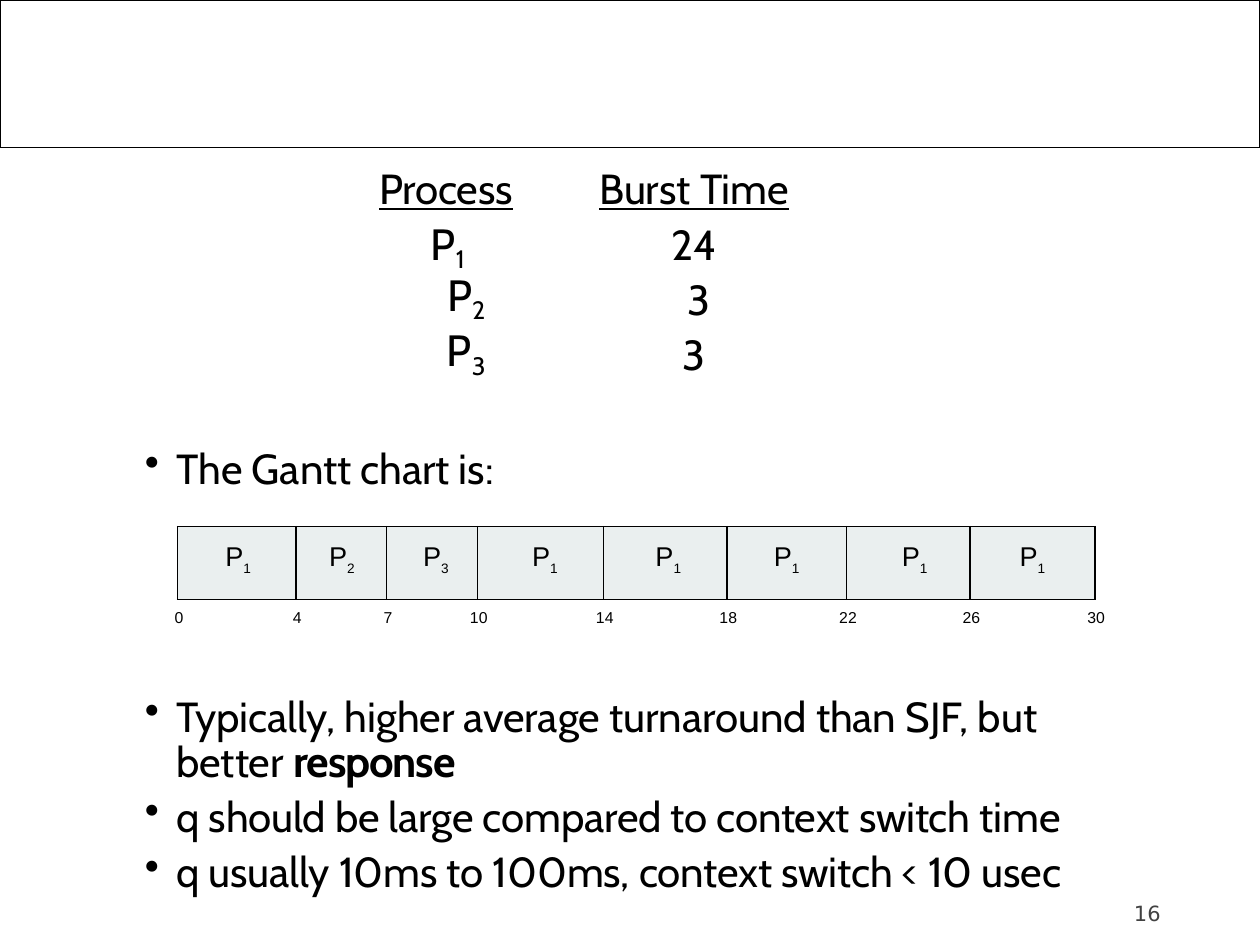
from dataclasses import dataclass
from itertools import accumulate
from typing import Optional

from lxml.etree import SubElement
from pptx import Presentation
from pptx.dml.color import RGBColor as RGB
from pptx.enum.shapes import MSO_SHAPE as Shape
from pptx.enum.text import PP_ALIGN as Align
from pptx.oxml.ns import qn
from pptx.util import Inches, Pt


@dataclass(frozen=True)
class Theme:
    ink: RGB = RGB(0, 0, 0)
    muted: RGB = RGB(0x42, 0x42, 0x42)
    slice_fill: RGB = RGB(0xEA, 0xEF, 0xEF)
    body_font: str = "Cabin"
    chart_font: str = "Arial"
    number_font: str = "DejaVu Sans"
    body: float = 24
    process: float = 25
    slice: float = 15.5
    slice_sub: float = 13.5
    tick: float = 9
    number: float = 12
    plain_table: str = "{2D5ABB26-0587-4C30-8999-92F81FD0307C}"


@dataclass(frozen=True)
class Process:
    number: str
    burst: str
    height: float
    top: float
    burst_top: float
    indent: float
    align: Align
    burst_indent: float
    spacing: Optional[float]


@dataclass(frozen=True)
class Slice:
    process: str
    end: int
    width: float
    shift: float


T = Theme()
PROCESSES = [
    Process("1", "24", 0.47, 0.01, 0.03, 0.44, Align.LEFT, 0.26, None),
    Process("2", "3", 0.44, 0, 0, 0, Align.CENTER, 0.33, 28.8),
    Process("3", "3", 0.46, 0, 0, 0, Align.CENTER, 0.26, 28.8),
]
SLICES = [
    Slice("1", 4, 0.94, 0.02), Slice("2", 7, 0.72, 0.01),
    Slice("3", 10, 0.72, 0.06), Slice("1", 14, 1, 0.07),
    Slice("1", 18, 0.98, 0.05), Slice("1", 22, 0.95, 0),
    Slice("1", 26, 0.98, 0.1), Slice("1", 30, 0.99, 0),
]
CHART_LEFT, CHART_TOP, CHART_HEIGHT = 1.41, 4.18, 0.58
HEADER_HEIGHT, HEADER_SPACING = 0.41, 28.6


def add_text(p, text: str, *, font: str = T.body_font, size: float = T.body,
             color: RGB = T.ink, bold: bool = False, underline: bool = False,
             spacing: float = 0, baseline: int = 0) -> None:
    r = p.add_run()
    r.text = text
    f = r.font
    f.name, f.size, f.bold, f.underline = font, Pt(size), bold, underline
    f.color.rgb = color
    rpr = r._r.get_or_add_rPr()
    if spacing:
        rpr.set("spc", str(round(spacing * 100)))
    if baseline:
        rpr.set("baseline", str(baseline * 1000))


def format_paragraph(p, align: Align = Align.LEFT, left: float = 0,
                     bullet: bool = False, line: Optional[float] = None,
                     before: float = 0) -> None:
    ppr = p._p.get_or_add_pPr()
    ppr.set("marL", str(Inches(left)))
    if bullet:
        ppr.set("indent", str(Inches(-0.25)))
        SubElement(ppr, qn("a:buChar")).set("char", "•")
    p.alignment = align
    if line:
        p.line_spacing = Pt(line)
    if before:
        p.space_before = Pt(before)


def add_box(s, left: float, top: float, width: float, height: float,
            inset: float = 0.01):
    tf = s.shapes.add_textbox(Inches(left), Inches(top), Inches(width),
                              Inches(height)).text_frame
    tf.word_wrap = True
    tf.margin_left = tf.margin_right = tf.margin_bottom = 0
    tf.margin_top = Inches(inset)
    return tf


def add_table(s, left: float, top: float, widths: list[float],
              heights: list[float]):
    frame = s.shapes.add_table(len(heights), len(widths), Inches(left),
                               Inches(top), Inches(sum(widths)),
                               Inches(sum(heights)))
    table = frame.table
    table.first_row = table.horz_banding = False
    table._tbl.tblPr.find(qn("a:tableStyleId")).text = T.plain_table
    for col, width in zip(table.columns, widths):
        col.width = Inches(width)
    for row, height in zip(table.rows, heights):
        row.height = Inches(height)
    return table


def open_cell(cell, top: float = 0, **layout):
    cell.margin_left = cell.margin_right = cell.margin_bottom = 0
    cell.margin_top = Inches(top)
    p = cell.text_frame.paragraphs[0]
    format_paragraph(p, **layout)
    return p


def add_borders(cell) -> None:
    tcpr = cell._tc.get_or_add_tcPr()
    for side in ("lnL", "lnR", "lnT", "lnB"):
        ln = SubElement(tcpr, qn(f"a:{side}"), w=str(Pt(1)))
        fill = SubElement(ln, qn("a:solidFill"))
        SubElement(fill, qn("a:srgbClr")).set("val", str(T.ink))


def add_header_frame(s) -> None:
    sp = s.shapes.add_shape(Shape.RECTANGLE, 0, 0, Inches(10), Inches(1.17))
    sp.shadow.inherit = False
    sp.fill.background()
    sp.line.color.rgb = T.ink
    sp.line.width = Pt(0.75)


def add_process_table(s) -> None:
    heights = [HEADER_HEIGHT] + [pr.height for pr in PROCESSES]
    table = add_table(s, 2.98, 1.31, [1.44, 1.92], heights)
    p = open_cell(table.cell(0, 0), left=0.03, line=HEADER_SPACING)
    add_text(p, "Process", underline=True, spacing=-0.1)
    p = open_cell(table.cell(0, 1), align=Align.CENTER, left=0.26,
                  line=HEADER_SPACING)
    add_text(p, "Burst Time", underline=True, spacing=-0.05)
    for row, pr in enumerate(PROCESSES, 1):
        p = open_cell(table.cell(row, 0), pr.top, align=pr.align,
                      left=pr.indent, line=pr.spacing)
        add_text(p, "P", size=T.process, spacing=-0.5)
        add_text(p, pr.number, size=24.8, spacing=-0.7, baseline=-20)
        p = open_cell(table.cell(row, 1), pr.burst_top, align=Align.CENTER,
                      left=pr.burst_indent,
                      line=HEADER_SPACING if pr.spacing else None)
        add_text(p, pr.burst)


def add_gantt_chart(s) -> None:
    widths = [sl.width for sl in SLICES]
    table = add_table(s, CHART_LEFT, CHART_TOP, widths, [CHART_HEIGHT])
    for col, sl in enumerate(SLICES):
        cell = table.cell(0, col)
        p = open_cell(cell, 0.12, align=Align.CENTER, left=sl.shift)
        add_text(p, "P", font=T.chart_font, size=T.slice, spacing=-0.6)
        add_text(p, sl.process, font=T.chart_font, size=T.slice_sub,
                 spacing=-0.9, baseline=-31)
        add_borders(cell)
        cell.fill.solid()
        cell.fill.fore_color.rgb = T.slice_fill
    times = [0] + [sl.end for sl in SLICES]
    for time, x in zip(times, accumulate(widths, initial=CHART_LEFT)):
        width = 0.1 if time < 10 else 0.17
        p = add_box(s, x + 0.01 - width / 2, 4.8, width, 0.18,
                    0.02).paragraphs[0]
        format_paragraph(p, align=Align.CENTER)
        add_text(p, str(time), font=T.chart_font, size=T.tick, spacing=0.1)


def add_bullets(s) -> None:
    p = add_box(s, 1.13, 3.5, 3.04, 0.43).paragraphs[0]
    format_paragraph(p, left=0.27, bullet=True)
    add_text(p, "The Gantt chart is:", spacing=-0.05)

    tf = add_box(s, 1.13, 5.46, 7.86, 1.67, 0.06)
    p = tf.paragraphs[0]
    format_paragraph(p, left=0.27, bullet=True, line=25.9)
    add_text(p, "Typically, higher average turnaround than SJF, but better ",
             spacing=-0.05)
    add_text(p, "response", size=T.process, bold=True, spacing=-0.6)
    for text, before in (
        ("q should be large compared to context switch time", 2.5),
        ("q usually 10ms to 100ms, context switch < 10 usec", 2.9),
    ):
        p = tf.add_paragraph()
        format_paragraph(p, left=0.27, bullet=True, before=before)
        add_text(p, text, spacing=-0.1)


def main() -> None:
    prs = Presentation()
    prs.slide_width, prs.slide_height = Inches(10), Inches(7.5)
    s = prs.slides.add_slide(prs.slide_layouts[6])
    add_header_frame(s)
    add_process_table(s)
    add_bullets(s)
    add_gantt_chart(s)
    p = add_box(s, 8.96, 7.14, 0.3, 0.23).paragraphs[0]
    format_paragraph(p, left=0.04)
    add_text(p, "16", font=T.number_font, size=T.number, color=T.muted)
    prs.save("out.pptx")


if __name__ == "__main__":
    main()
